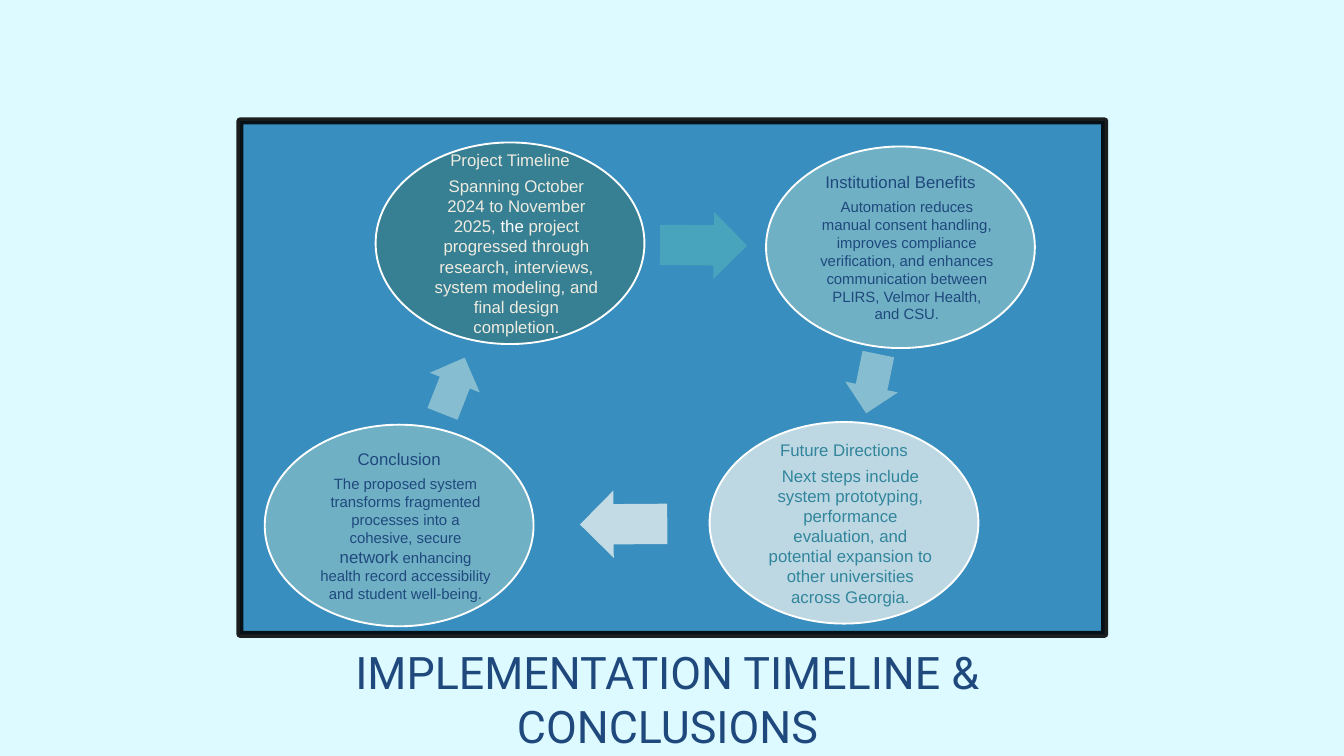
from math import sqrt
from typing import NamedTuple

from lxml import etree
from pptx import Presentation
from pptx.dml.color import RGBColor
from pptx.enum.shapes import MSO_SHAPE as Preset
from pptx.enum.text import MSO_ANCHOR as Anchor, MSO_AUTO_SIZE as AutoSize, PP_ALIGN as Align
from pptx.oxml.ns import qn
from pptx.util import Inches, Pt

SKY = RGBColor(0xDC, 0xFA, 0xFF)
BLUE = RGBColor(0x20, 0x7E, 0xB5)
BLACK = RGBColor(0, 0, 0)
WHITE = RGBColor(0xFF, 0xFF, 0xFF)
NAVY = RGBColor(0x1F, 0x49, 0x7D)
CREAM = RGBColor(0xEE, 0xEC, 0xE1)
DEEP_TEAL = RGBColor(0x37, 0x7F, 0x92)
TEAL = RGBColor(0x31, 0x85, 0x9C)
BRIGHT_TEAL = RGBColor(0x48, 0xA4, 0xBD)
SOFT_TEAL = RGBColor(0x70, 0xB0, 0xC5)
PALE_TEAL = RGBColor(0x86, 0xBD, 0xD0)
MIST = RGBColor(0xBE, 0xD8, 0xE3)
PALE_MIST = RGBColor(0xC2, 0xDB, 0xE5)

OVAL_WIDTH, OVAL_HEIGHT = 4, 3
HEADING_SIZE = 18


class Span(NamedTuple):
    text: str
    size: float = 18
    color: RGBColor | None = None  # None takes the stage's text colour


class Stage(NamedTuple):
    left: float
    top: float
    fill: RGBColor
    color: RGBColor
    heading: str
    body: list[Span]


class Arrow(NamedTuple):
    left: float
    top: float
    width: float
    height: float
    rotation: float
    fill: RGBColor


STAGES = [
    Stage(5.59, 2.12, DEEP_TEAL, CREAM, "Project Timeline", [
        Span("Spanning October 2024 to November 2025, "),
        Span("the", color=WHITE),
        Span(" project progressed through research, interviews, system modeling, "
             "and final design completion.")]),
    Stage(11.4, 2.18, SOFT_TEAL, NAVY, "Institutional Benefits", [
        Span("Automation reduces manual consent handling, improves compliance "
             "verification, and enhances communication between PLIRS, Velmor Health, "
             "and CSU.", 16)]),
    Stage(10.56, 6.28, MIST, TEAL, "Future Directions", [
        Span("Next steps include system prototyping, performance evaluation, and "
             "potential expansion to other universities across Georgia.")]),
    Stage(3.94, 6.32, SOFT_TEAL, NAVY, "Conclusion", [
        Span("The proposed system transforms fragmented processes into a cohesive, "
             "secure ", 16),
        Span("network"),
        Span(" enhancing health record accessibility and student well-being.", 16)]),
]

ARROWS = [
    Arrow(9.82, 3.15, 1.3, 1, 0.5, BRIGHT_TEAL),
    Arrow(12.53, 5.31, 0.9, 0.8, 101.6, PALE_TEAL),
    Arrow(8.63, 7.3, 1.3, 1, 179.6, PALE_MIST),
    Arrow(6.3, 5.34, 0.9, 0.8, 291.5, PALE_TEAL),
]


def add_preset(page, preset, left: float, top: float, width: float, height: float, *,
               fill: RGBColor, line: RGBColor | None = None, weight: float = 2):
    shape = page.shapes.add_shape(
        preset, Inches(left), Inches(top), Inches(width), Inches(height))
    shape.shadow.inherit = False
    shape.fill.solid()
    shape.fill.fore_color.rgb = fill
    if line is None:
        shape.line.fill.background()
    else:
        shape.line.color.rgb = line
        shape.line.width = Pt(weight)
    return shape


def add_box(page, left: float, top: float, width: float, height: float, *,
            inset: float | None = None):
    box = page.shapes.add_textbox(Inches(left), Inches(top), Inches(width), Inches(height))
    frame = box.text_frame
    frame.word_wrap = True
    frame.vertical_anchor = Anchor.MIDDLE
    if inset is not None:
        frame.margin_left = frame.margin_right = Inches(inset)
        frame.margin_top = frame.margin_bottom = Inches(inset)
    return frame


def add_text(para, text: str, *, size: float, color: RGBColor, font: str = "Arial") -> None:
    para.alignment = Align.CENTER
    run = para.add_run()
    run.text = text
    run.font.name = font
    run.font.size = Pt(size)
    run.font.color.rgb = color


def set_opacity(shape, percent: int) -> None:
    for color in shape.element.spPr.iter(qn("a:srgbClr")):
        etree.SubElement(color, qn("a:alpha")).set("val", str(percent * 1000))


def draw_stage(page, stage: Stage) -> None:
    add_preset(page, Preset.OVAL, stage.left, stage.top, OVAL_WIDTH, OVAL_HEIGHT,
               fill=stage.fill, line=WHITE)

    # The text fills the largest box of the same proportions inside the oval
    width, height = OVAL_WIDTH / sqrt(2), OVAL_HEIGHT / sqrt(2)
    frame = add_box(page, stage.left + (OVAL_WIDTH - width) / 2,
                    stage.top + (OVAL_HEIGHT - height) / 2, width, height, inset=0.03)
    heading = frame.paragraphs[0]
    heading.space_after = Pt(0.35 * HEADING_SIZE)
    add_text(heading, stage.heading, size=HEADING_SIZE, color=stage.color)

    body = frame.add_paragraph()
    body.level = 1
    body.space_after = Pt(0.15 * stage.body[0].size)
    properties = body._p.get_or_add_pPr()
    properties.set("marL", str(Inches(0.19)))
    properties.set("indent", "0")
    for span in stage.body:
        add_text(body, span.text, size=span.size, color=span.color or stage.color)


def draw_arrow(page, arrow: Arrow) -> None:
    shape = add_preset(page, Preset.RIGHT_ARROW, arrow.left, arrow.top,
                       arrow.width, arrow.height, fill=arrow.fill)
    shape.adjustments[0] = 0.6
    shape.adjustments[1] = 0.5
    shape.rotation = arrow.rotation


def main() -> None:
    deck = Presentation()
    deck.slide_width, deck.slide_height = Inches(20), Inches(11.25)
    page = deck.slides.add_slide(deck.slide_layouts[6])
    page.background.fill.solid()
    page.background.fill.fore_color.rgb = SKY

    # Panel behind the cycle
    panel = add_preset(page, Preset.RECTANGLE, 3.57, 1.8, 12.87, 7.64,
                       fill=BLUE, line=BLACK, weight=7.5)
    set_opacity(panel, 87)

    # Title below the panel
    title = add_box(page, 3.57, 9.53, 12.73, 1.72)
    title.auto_size = AutoSize.SHAPE_TO_FIT_TEXT
    add_text(title.paragraphs[0], "IMPLEMENTATION TIMELINE & CONCLUSIONS",
             size=48, color=NAVY, font="Roboto")

    # Cycle of stages, each followed by its arrow
    for stage, arrow in zip(STAGES, ARROWS):
        draw_stage(page, stage)
        draw_arrow(page, arrow)

    deck.save("out.pptx")


if __name__ == "__main__":
    main()
